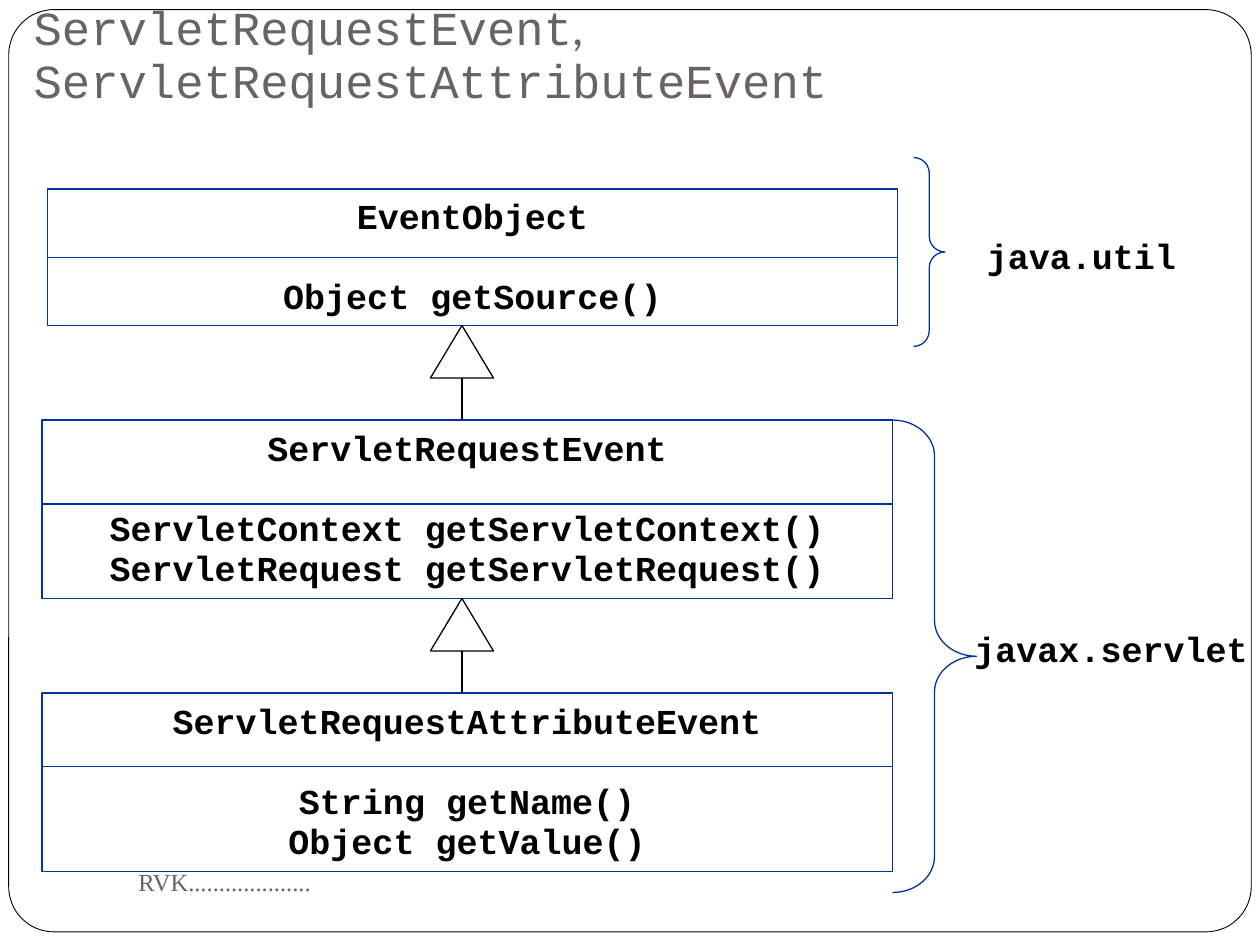
from lxml.etree import SubElement
from pptx import Presentation
from pptx.dml.color import RGBColor
from pptx.enum.shapes import MSO_CONNECTOR, MSO_SHAPE as Shape
from pptx.enum.text import MSO_ANCHOR as Anchor, MSO_AUTO_SIZE, PP_ALIGN as Align
from pptx.oxml.ns import qn
from pptx.util import Pt

BLACK = RGBColor(0x00, 0x00, 0x00)
WHITE = RGBColor(0xFF, 0xFF, 0xFF)
BLUE = RGBColor(0x00, 0x33, 0x99)
GREY = RGBColor(0x69, 0x64, 0x64)
CODE_FONT = "Courier New"

# Box (left, top, width, height), divider offset, class name, methods
CLASSES = [
    ((27, 108, 486, 78), 39, "EventObject", ["Object getSource()"]),
    ((24, 240, 486, 102), 48, "ServletRequestEvent",
     ["ServletContext getServletContext()", "ServletRequest getServletRequest()"]),
    ((24, 396, 486, 102), 42, "ServletRequestAttributeEvent",
     ["String getName()", "Object getValue()"]),
]
# Brace box, brace curl, label box, package name
PACKAGES = [
    ((522, 90, 18, 108), 0.5, (561, 126, 114, 42), "java.util"),
    ((510, 240, 48, 270), 0.427, (555, 354, 160, 36), "javax.servlet"),
]
ARROW_CENTER = 264


def add_outline(slide, preset, box, color, weight=0.75):
    outline = slide.shapes.add_shape(preset, *map(Pt, box))
    outline.shadow.inherit = False
    outline.fill.background()
    outline.line.color.rgb = color
    outline.line.width = Pt(weight)
    return outline


def add_line(slide, start, end, color):
    line = slide.shapes.add_connector(
        MSO_CONNECTOR.STRAIGHT, *map(Pt, start + end))
    line.line.color.rgb = color
    line.line.width = Pt(0.75)
    SubElement(line._element.spPr, qn("a:effectLst"))


def write_code(frame, lines):
    frame.word_wrap = False
    frame.vertical_anchor = Anchor.MIDDLE
    for index, text in enumerate(lines):
        paragraph = frame.add_paragraph() if index else frame.paragraphs[0]
        paragraph.text = text
        paragraph.alignment = Align.CENTER
        paragraph.line_spacing = 0.95
        font = paragraph.font
        font.name, font.size, font.bold = CODE_FONT, Pt(20), True
        font.color.rgb = BLACK


def add_frame(slide, box):
    frame = add_outline(slide, Shape.ROUNDED_RECTANGLE, box, BLACK, 0.5)
    frame.adjustments[0] = 0.049
    frame.fill.solid()
    frame.fill.fore_color.rgb = WHITE
    slide.shapes._spTree.insert(2, frame._element)  # behind the title


def add_title(slide, box):
    title = slide.shapes.title
    title.left, title.top, title.width, title.height = map(Pt, box)
    frame = title.text_frame
    frame.auto_size = MSO_AUTO_SIZE.NONE
    frame.vertical_anchor = Anchor.BOTTOM
    paragraph = frame.paragraphs[0]
    paragraph.alignment = Align.LEFT
    paragraph.line_spacing = 0.93
    paragraph.font.size = Pt(27)
    paragraph.font.color.rgb = GREY
    for text, font_name in [("ServletRequestEvent", CODE_FONT), (", ", "Lato"),
                            ("ServletRequestAttributeEvent", CODE_FONT)]:
        run = paragraph.add_run()
        run.text = text
        run.font.name = font_name


def add_footer(slide, box):
    frame = slide.shapes.add_textbox(*map(Pt, box)).text_frame
    frame.word_wrap = True
    frame.vertical_anchor = Anchor.MIDDLE
    paragraph = frame.paragraphs[0]
    paragraph.text = "RVK...................."
    font = paragraph.font
    font.name, font.size = "Times New Roman", Pt(14)
    font.color.rgb = GREY


def add_class(slide, box, divider, name, methods):
    left, top, width, _ = box
    frame = add_outline(slide, Shape.FLOWCHART_PROCESS, box, BLUE).text_frame
    write_code(frame, [name, *methods])
    frame.paragraphs[1].space_before = Pt(23)
    add_line(slide, (left, top + divider), (left + width, top + divider), BLUE)


def add_package(slide, brace_box, curl, label_box, name):
    brace = add_outline(slide, Shape.RIGHT_BRACE, brace_box, BLUE)
    brace.adjustments[0] = curl
    brace.adjustments[1] = 0.5
    label = slide.shapes.add_textbox(*map(Pt, label_box)).text_frame
    label.margin_left = label.margin_right = 0
    write_code(label, [name])


def add_inheritance(slide, center, top, bottom):
    """Draw a hollow arrowhead under the parent and a stem to the child."""
    width, height = 36, 30
    add_outline(slide, Shape.ISOSCELES_TRIANGLE,
                (center - width / 2, top, width, height), BLACK)
    add_line(slide, (center, top + height), (center, bottom), BLACK)


def main():
    deck = Presentation()
    deck.slide_width, deck.slide_height = Pt(720), Pt(540)
    slide = deck.slides.add_slide(deck.slide_layouts[5])
    add_frame(slide, (5, 5.5, 710, 527))
    add_title(slide, (12, 0, 672, 66))
    add_footer(slide, (72, 486, 312, 36))
    for uml_class in CLASSES:
        add_class(slide, *uml_class)
    for package_group in PACKAGES:
        add_package(slide, *package_group)
    for (parent, *_), (child, *_) in zip(CLASSES, CLASSES[1:]):
        add_inheritance(slide, ARROW_CENTER, parent[1] + parent[3], child[1])
    deck.save("out.pptx")


if __name__ == "__main__":
    main()
